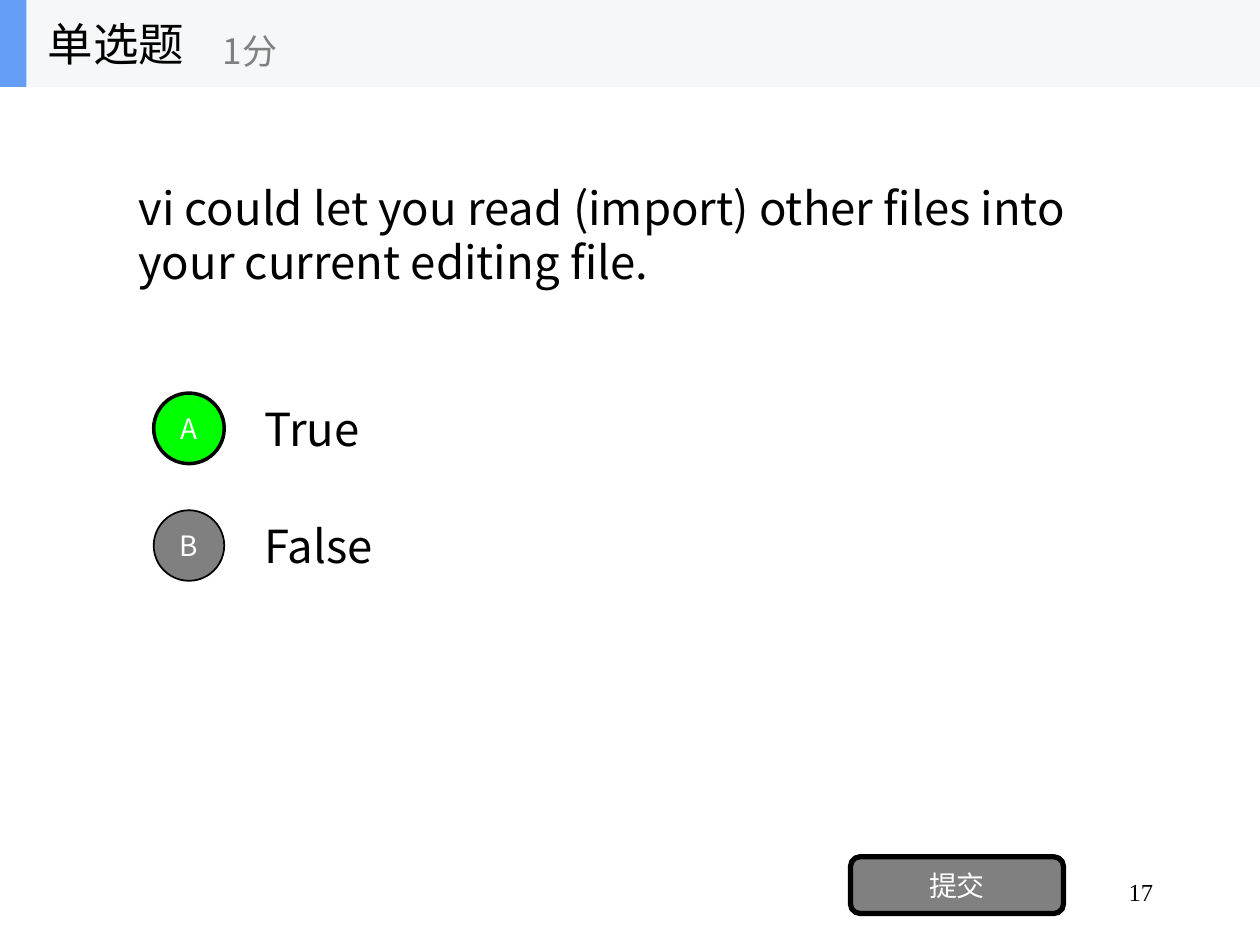
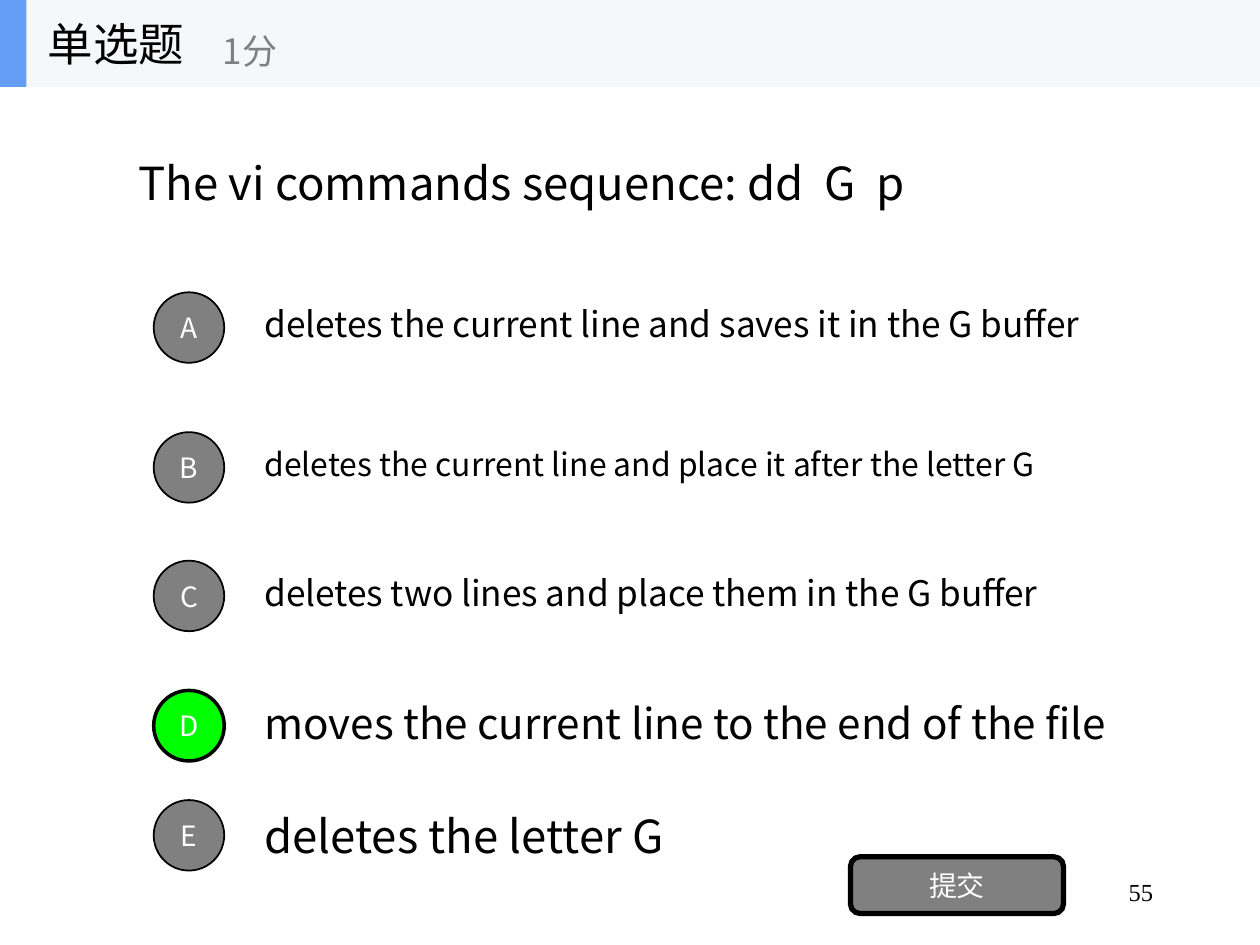
import pptx
import pptx.dml.color
import pptx.enum.shapes
import pptx.enum.text
import pptx.oxml.ns
import pptx.util
from lxml import etree

Inches, Pt = pptx.util.Inches, pptx.util.Pt
MSO_SHAPE = pptx.enum.shapes.MSO_SHAPE
PP_ALIGN = pptx.enum.text.PP_ALIGN

COLORS = {"black": "000000", "white": "FFFFFF", "gray": "808080",
          "right": "00FF00", "band": "F6F7F8", "accent": "639EF4"}
RGB = {name: pptx.dml.color.RGBColor.from_string(h) for name, h in COLORS.items()}
SANS, SERIF = "Noto Sans CJK SC", "Times New Roman"

HEADER_H = 0.69
OPTION_H = 0.7
CIRCLE = 0.56

# Each option: text, top, font size, line spacing
QUESTIONS = [
    {"page": "17", "height": 2.34, "answer": "A",
     "text": "vi could let you read (import) other files into your current editing file.",
     "options": [("True", 3.05, 26, 1), ("False", 3.98, 26, 1)]},
    {"page": "55", "height": 1.51, "answer": "D",
     "text": "The vi commands sequence: dd  G  p",
     "options": [
         ("deletes the current line and saves it in the G buffer", 2.25, 20.1, 0.8),
         ("deletes the current line and place it after the letter G", 3.36, 18.2, 0.8),
         ("deletes two lines and place them in the G buffer", 4.38, 20.1, 0.8),
         ("moves the current line to the end of the file", 5.41, 24.1, 0.9),
         ("deletes the letter G", 6.28, 26, 1)]},
]


def write(sp, text, size=26, color="black", font=SANS, align=PP_ALIGN.LEFT,
          spacing=1, wrap=True):
    tf = sp.text_frame
    tf.word_wrap = wrap
    tf.vertical_anchor = pptx.enum.text.MSO_ANCHOR.MIDDLE
    p = tf.paragraphs[0]
    p.alignment = align
    p.line_spacing = spacing
    r = p.add_run()
    r.text = text
    r.font.size = Pt(size)
    r.font.color.rgb = RGB[color]
    r.font.name = font
    # East Asian characters need their own typeface entry
    etree.SubElement(r.font._element, pptx.oxml.ns.qn("a:ea"), typeface=font)


def add_filled(shapes, kind, box, fill, line_width=0):
    sp = shapes.add_shape(kind, *map(Inches, box))
    sp.shadow.inherit = False
    sp.fill.solid()
    sp.fill.fore_color.rgb = RGB[fill]
    if line_width:
        sp.line.color.rgb = RGB["black"]
        sp.line.width = Pt(line_width)
    else:
        sp.line.fill.background()
    return sp


prs = pptx.Presentation()
prs.slide_width, prs.slide_height = Inches(10), Inches(7.5)

for question in QUESTIONS:
    s = prs.slides.add_slide(prs.slide_layouts[6])

    # Page number and question
    sp = s.shapes.add_textbox(Inches(7.17), Inches(6.83), Inches(2.08), Inches(0.5))
    write(sp, question["page"], 14, font=SERIF, align=PP_ALIGN.RIGHT)
    sp = s.shapes.add_textbox(Inches(1), Inches(HEADER_H), Inches(8),
                              Inches(question["height"]))
    write(sp, question["text"])

    # Options, each with its lettered circle centred on the text
    for letter, (text, top, size, spacing) in zip("ABCDE", question["options"]):
        sp = s.shapes.add_textbox(Inches(2), Inches(top), Inches(7), Inches(OPTION_H))
        write(sp, text, size, spacing=spacing)
        fill, line_width = ("right", 2) if letter == question["answer"] else ("gray", 1)
        box = (1.22, top + (OPTION_H - CIRCLE) / 2, CIRCLE, CIRCLE)
        sp = add_filled(s.shapes, MSO_SHAPE.OVAL, box, fill, line_width)
        write(sp, letter, 16, "white", align=PP_ALIGN.CENTER, wrap=False)

    # Submit button
    sp = add_filled(s.shapes, MSO_SHAPE.ROUNDED_RECTANGLE, (6.75, 6.8, 1.69, 0.45),
                    "gray", 3)
    write(sp, "提交", 16, "white", align=PP_ALIGN.CENTER, wrap=False)

    # Header band with question type and score
    header = s.shapes.add_group_shape().shapes
    add_filled(header, MSO_SHAPE.RECTANGLE, (0, 0, 10, HEADER_H), "band")
    add_filled(header, MSO_SHAPE.RECTANGLE, (0, 0, 0.21, HEADER_H), "accent")
    sp = header.add_textbox(Inches(0.28), 0, Inches(2.08), Inches(HEADER_H))
    write(sp, "单选题")
    sp = header.add_textbox(Inches(1.67), Inches(0.12), Inches(2.5), Inches(0.56))
    write(sp, "1分", 20, "gray")

prs.save("out.pptx")
